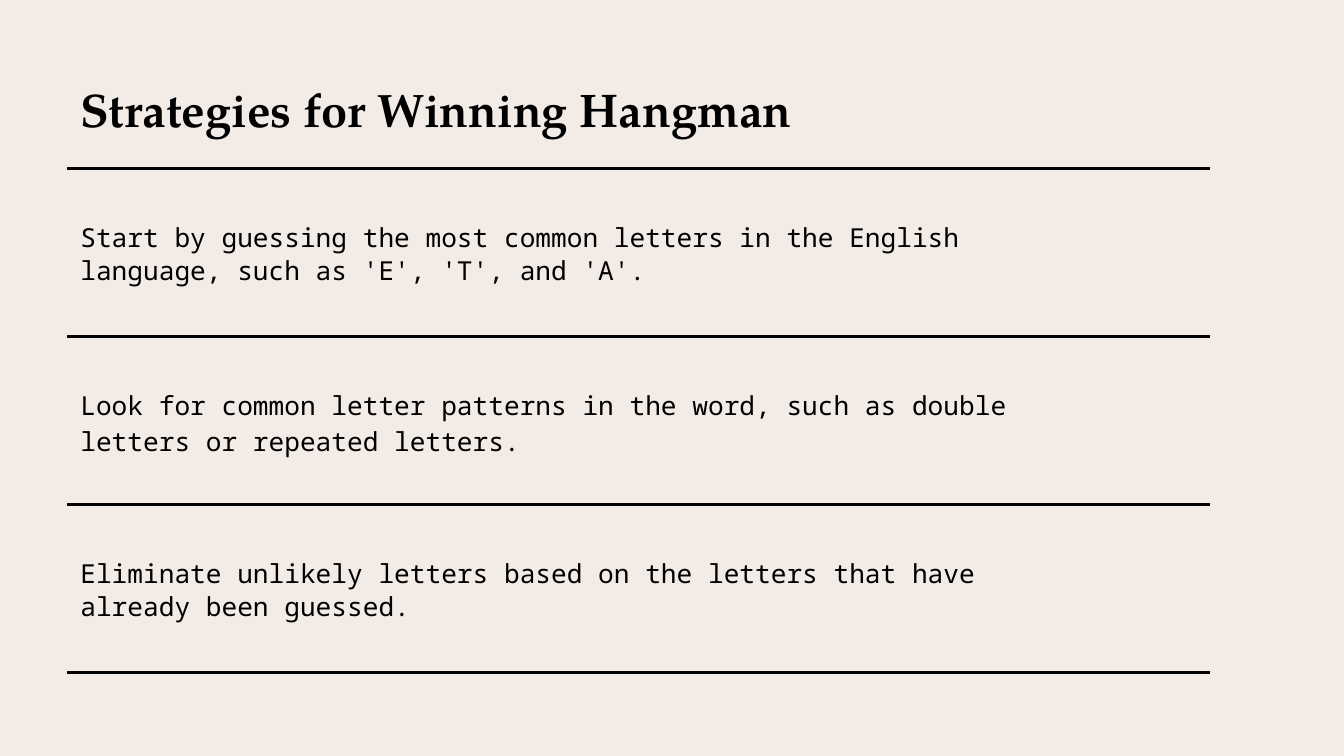
from lxml import etree
from pptx import Presentation
from pptx.dml.color import RGBColor
from pptx.enum.shapes import MSO_CONNECTOR
from pptx.enum.text import MSO_ANCHOR, MSO_AUTO_SIZE, PP_ALIGN
from pptx.oxml.ns import qn
from pptx.util import Pt

STRAIGHT = MSO_CONNECTOR.STRAIGHT
MIDDLE = MSO_ANCHOR.MIDDLE
NO_FIT = MSO_AUTO_SIZE.NONE
LEFT = PP_ALIGN.LEFT

PAPER = RGBColor(0xF2, 0xEB, 0xE6)
INK = RGBColor(0, 0, 0)
HEAD_FONT = "TeX Gyre Pagella"
BODY_FONT = "Noto Sans Mono"
INSET = 7.2

# Each tip with its line spacing
TIPS = [
    ("Start by guessing the most common letters in the English language, "
     "such as 'E', 'T', and 'A'.", 1.05),
    ("Look for common letter patterns in the word, such as double letters "
     "or repeated letters.", 1.15),
    ("Eliminate unlikely letters based on the letters that have already "
     "been guessed.", 1.05),
]


def set_text(shape, text, font, size, bold=False):
    """Fill a shape with one left-aligned paragraph and return it."""
    frame = shape.text_frame
    frame.text = text
    frame.word_wrap = True
    frame.auto_size = NO_FIT
    frame.vertical_anchor = MIDDLE
    frame.margin_left = frame.margin_right = Pt(INSET)
    frame.margin_top = frame.margin_bottom = Pt(INSET)
    para = frame.paragraphs[0]
    para.alignment = LEFT
    style = para.runs[0].font
    style.name, style.size, style.bold = font, Pt(size), bold
    style.color.rgb = INK
    return para


def add_title(slide, left, top, width, height):
    title = slide.shapes.title
    title.left, title.top = Pt(left), Pt(top)
    title.width, title.height = Pt(width), Pt(height)
    set_text(title, "Strategies for Winning Hangman", HEAD_FONT, 25.2, True)


def add_rule(slide, left, top, width):
    rule = slide.shapes.add_connector(
        STRAIGHT, Pt(left), Pt(top), Pt(left + width), Pt(top))
    rule.line.color.rgb = INK
    rule.line.width = Pt(1.5)
    etree.SubElement(rule._element.spPr, qn("a:effectLst"))


def add_tips(slide, left, top, width, height):
    """Stack the tips in equal rows, with a rule around each row."""
    row = height / len(TIPS)
    gap = 8.2
    for i, (text, spacing) in enumerate(TIPS):
        y = top + i * row
        add_rule(slide, left, y, width)
        box = slide.shapes.add_textbox(
            Pt(left), Pt(y + gap), Pt(540), Pt(row - 2 * gap))
        para = set_text(box, text, BODY_FONT, 14)
        para.line_spacing = spacing
        para.space_after = Pt(10)
    add_rule(slide, left, top + height, width)


def main():
    deck = Presentation()
    deck.slide_width, deck.slide_height = Pt(720), Pt(405)
    slide = deck.slides.add_slide(deck.slide_layouts[5])
    fill = slide.background.fill
    fill.solid()
    fill.fore_color.rgb = PAPER
    add_title(slide, 36, 35.3, 648, 45.4)
    add_tips(slide, 36, 90.5, 612, 270)
    deck.save("out.pptx")


if __name__ == "__main__":
    main()
